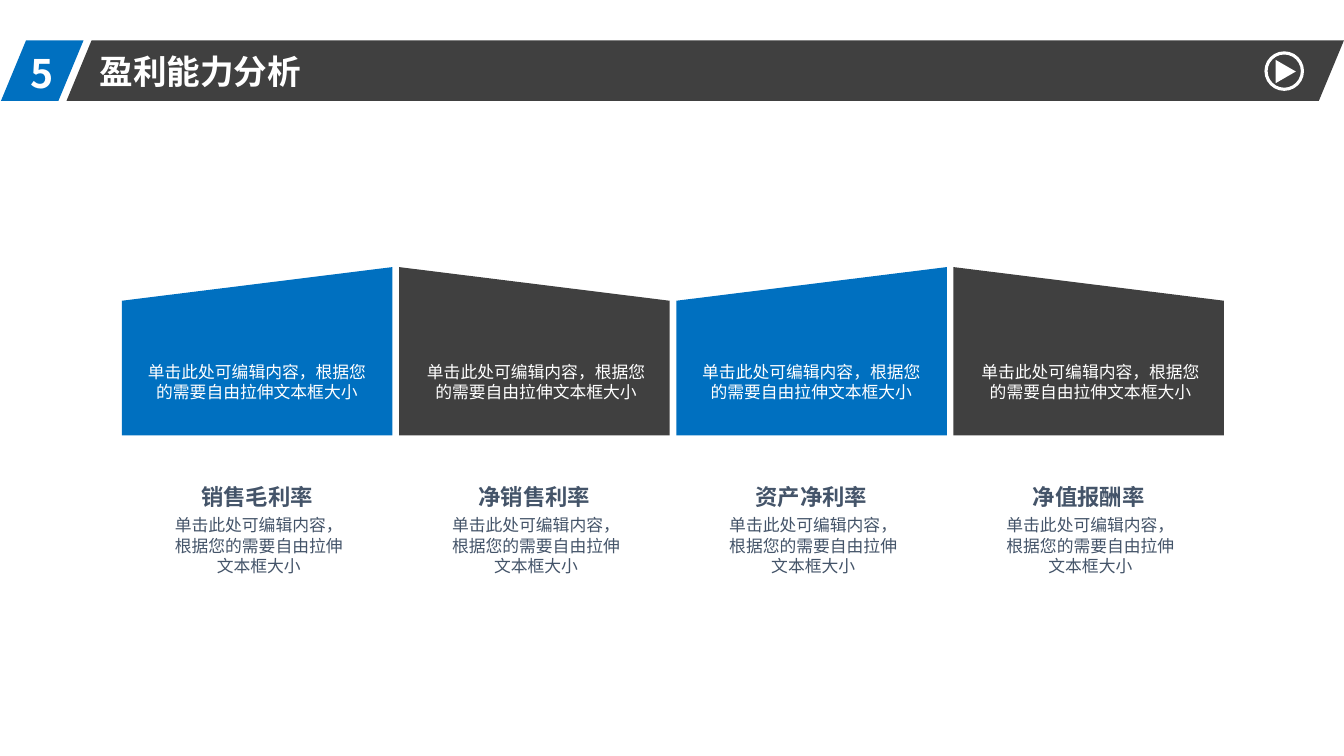
import pptx
import pptx.util
import pptx.dml.color
import pptx.enum.shapes
import pptx.enum.text
import pptx.oxml.ns
import lxml.etree

Pt = pptx.util.Pt
RGBColor = pptx.dml.color.RGBColor
SHAPE = pptx.enum.shapes.MSO_SHAPE
ALIGN = pptx.enum.text.PP_ALIGN

BLUE = RGBColor(0x00, 0x70, 0xC0)
DARK = RGBColor(0x40, 0x40, 0x40)
SLATE = RGBColor(0x44, 0x54, 0x69)
WHITE = RGBColor(0xFF, 0xFF, 0xFF)
CJK_FONT = "Noto Sans CJK SC"
BODY = "单击此处可编辑内容，根据您的需要自由拉伸文本框大小"
RATIOS = ["销售毛利率", "净销售利率", "资产净利率", "净值报酬率"]

deck = pptx.Presentation()
deck.slide_width, deck.slide_height = Pt(960), Pt(540)
page = deck.slides.add_slide(deck.slide_layouts[6])


def add_filled(kind, left, top, width, height, color):
    shape = page.shapes.add_shape(kind, Pt(left), Pt(top), Pt(width), Pt(height))
    shape.shadow.inherit = False
    shape.fill.solid()
    shape.fill.fore_color.rgb = color
    shape.line.fill.background()
    return shape


def add_text(text, left, top, width, height, size, color, bold=False,
             font="Arial", align=ALIGN.CENTER, inset=(0, 0)):
    """Add a one-paragraph text box; inset is (sides, top and bottom)."""
    box = page.shapes.add_textbox(Pt(left), Pt(top), Pt(width), Pt(height))
    frame = box.text_frame
    frame.word_wrap = True
    frame.margin_left = frame.margin_right = Pt(inset[0])
    frame.margin_top = frame.margin_bottom = Pt(inset[1])
    para = frame.paragraphs[0]
    para.text = text
    para.alignment = align
    para.font.size = Pt(size)
    para.font.bold = bold
    para.font.color.rgb = color
    para.font.name = font
    # Chinese glyphs take their typeface from a:ea
    defaults = para._p.pPr.find(pptx.oxml.ns.qn("a:defRPr"))
    east_asian = lxml.etree.SubElement(defaults, pptx.oxml.ns.qn("a:ea"))
    east_asian.set("typeface", CJK_FONT)


# Title bar
for left, width, color in [(47.5, 912.5, DARK), (0.7, 59, BLUE)]:
    bar = add_filled(SHAPE.PARALLELOGRAM, left, 28.8, width, 43.2, color)
    bar.adjustments[0] = 0.415
for text, left, top, width, height, size in [("5", 14.4, 31.7, 49.7, 41, 28),
                                             ("盈利能力分析", 64.1, 33.1, 197.3, 36.7, 24)]:
    add_text(text, left, top, width, height, size, WHITE, True, CJK_FONT,
             ALIGN.LEFT, (7.2, 3.6))

# Four ratio panels, mirrored in pairs
PANEL_LEFT, PANEL_WIDTH, PITCH = 87.1, 193.2, 198
for index, ratio in enumerate(RATIOS):
    mirrored = index % 2 == 1
    left = PANEL_LEFT + index * PITCH
    panel = add_filled(SHAPE.FLOWCHART_MANUAL_INPUT, left, 190.8, PANEL_WIDTH, 120.2,
                       DARK if mirrored else BLUE)
    if mirrored:
        panel._element.spPr.xfrm.set("flipH", "1")
    add_text(BODY, left + (18.7 if mirrored else 17.3), 258.5, 158.4, 28.8, 12, WHITE)
    add_text(ratio, left + 4.4, 344.9, 184.3, 19.4, 16, SLATE, True)
    add_text(BODY, left + 31.9, 367.9, 131.8, 43.9, 12, SLATE)

# Play button
ring = add_filled(SHAPE.OVAL, 904.3, 37.8, 26, 26, WHITE)
ring.fill.background()
ring.line.color.rgb = WHITE
ring.line.width = Pt(2.25)
arrow = add_filled(SHAPE.ISOSCELES_TRIANGLE, 910.1, 43.9, 16.6, 14.4, WHITE)
arrow.rotation = 90

deck.save("out.pptx")
